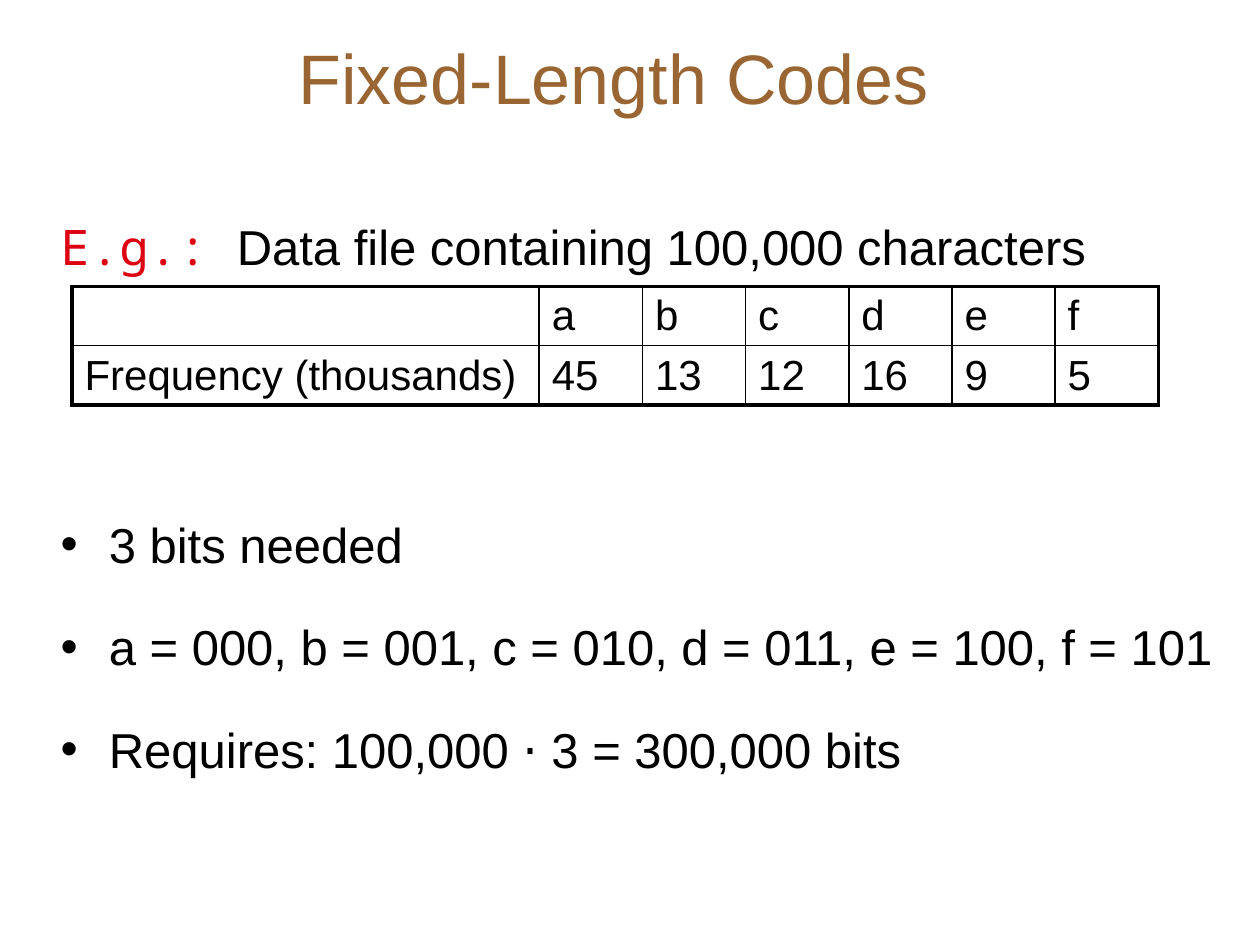
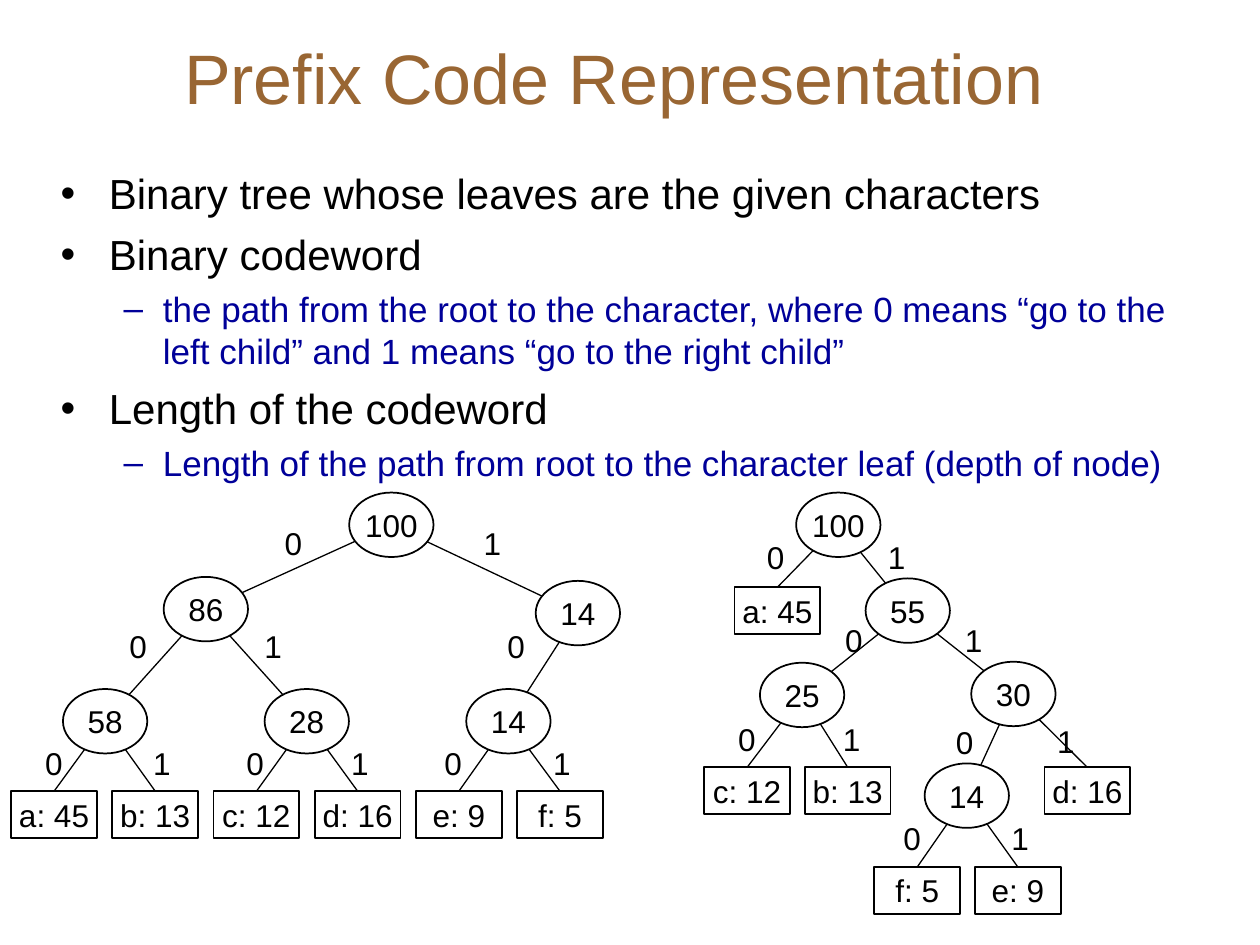
import math
from dataclasses import dataclass

import pptx
import pptx.dml.color
import pptx.enum.shapes
import pptx.enum.text
import pptx.oxml.ns
import pptx.util
from lxml import etree

Cm = pptx.util.Cm
Pt = pptx.util.Pt
MSO_SHAPE = pptx.enum.shapes.MSO_SHAPE
MSO_ANCHOR = pptx.enum.text.MSO_ANCHOR
PP_ALIGN = pptx.enum.text.PP_ALIGN
qn = pptx.oxml.ns.qn

FONT, MONO = "Arial", "Noto Sans Mono"
BLACK, WHITE, BROWN, RED, NAVY = "000000", "FFFFFF", "996633", "DD0111", "000099"
# Hanging indents per list level: (left margin, first line)
INDENTS = [(0.97, -0.97), (2.06, -0.79)]
OVAL_W, OVAL_H = 1.7, 1.3
LEAF_W, LEAF_H = 1.73, 0.94


@dataclass
class Node:
    """Tree node; x is its centre, bit_at the corner of the bit label above it."""
    text: str
    x: float
    top: float
    bit_at: tuple = None
    children: tuple = ()

    @property
    def centre_y(self):
        return self.top + OVAL_H / 2


def color(hex_code):
    return pptx.dml.color.RGBColor.from_string(hex_code)


def add_run(p, text, size, hex_code=BLACK, font=FONT):
    r = p.add_run()
    r.text = text
    r.font.name = font
    r.font.size = Pt(size)
    r.font.color.rgb = color(hex_code)


def place(sp, left, top, width, height):
    sp.left, sp.top, sp.width, sp.height = Cm(left), Cm(top), Cm(width), Cm(height)


def add_slide(prs, title):
    slide = prs.slides.add_slide(prs.slide_layouts[1])
    sp = slide.shapes.title
    place(sp, 0.94, 0.28, 22.86, 2.51)
    tf = sp.text_frame
    tf.vertical_anchor = MSO_ANCHOR.MIDDLE
    p = tf.paragraphs[0]
    p.alignment = PP_ALIGN.CENTER
    add_run(p, title, 40, BROWN)
    return slide


def fill_body(slide, box, margin_top, items, line_spacing=1.0):
    """Each item is (level, space before, bulleted, runs)."""
    sp = slide.placeholders[1]
    place(sp, *box)
    tf = sp.text_frame
    tf.auto_size = pptx.enum.text.MSO_AUTO_SIZE.NONE
    tf.margin_top = Pt(margin_top)
    for i, (level, space, bulleted, runs) in enumerate(items):
        p = tf.add_paragraph() if i else tf.paragraphs[0]
        p.level = level
        p.line_spacing = line_spacing
        p.space_before = Pt(space)
        pPr = p._p.get_or_add_pPr()
        margin, indent = INDENTS[level]
        pPr.set("marL", str(Cm(margin)))
        pPr.set("indent", str(Cm(indent)))
        if not bulleted:
            etree.SubElement(pPr, qn("a:buNone"))
        for run in runs:
            add_run(p, *run)


def set_borders(cell, widths):
    """Black borders, widths in points by side."""
    tcPr = cell._tc.get_or_add_tcPr()
    for i, (side, width) in enumerate(widths.items()):
        ln = etree.Element(qn("a:ln" + side), w=str(Pt(width)))
        fill = etree.SubElement(ln, qn("a:solidFill"))
        etree.SubElement(fill, qn("a:srgbClr"), val=BLACK)
        tcPr.insert(i, ln)


def add_frequency_table(slide, rows):
    n_rows, n_cols = len(rows), len(rows[0])
    frame = slide.shapes.add_table(n_rows, n_cols, Cm(1.45), Cm(5.77), Cm(21.9), Cm(2.38))
    table = frame.table
    table.first_row = table.horz_banding = False
    for c in range(n_cols):
        table.columns[c].width = Cm(2.08 if c else 9.42)
    for r, row in enumerate(rows):
        table.rows[r].height = Cm(1.19)
        for c, text in enumerate(row):
            cell = table.cell(r, c)
            cell.fill.background()
            cell.vertical_anchor = MSO_ANCHOR.MIDDLE
            outer = {"L": c == 0, "R": c == n_cols - 1, "T": r == 0, "B": r == n_rows - 1}
            set_borders(cell, {side: 2.25 if edge else 1 for side, edge in outer.items()})
            if text:
                add_run(cell.text_frame.paragraphs[0], text, 24)


def add_node(shapes, node):
    if node.children:
        kind, width, height = MSO_SHAPE.OVAL, OVAL_W, OVAL_H
    else:
        kind, width, height = MSO_SHAPE.RECTANGLE, LEAF_W, LEAF_H
    sp = shapes.add_shape(kind, Cm(node.x - width / 2), Cm(node.top), Cm(width), Cm(height))
    sp.shadow.inherit = False
    sp.fill.solid()
    sp.fill.fore_color.rgb = color(WHITE)
    sp.line.color.rgb = color(BLACK)
    sp.line.width = Pt(1)
    tf = sp.text_frame
    tf.word_wrap = False
    tf.vertical_anchor = MSO_ANCHOR.MIDDLE
    p = tf.paragraphs[0]
    p.alignment = PP_ALIGN.CENTER
    add_run(p, node.text, 18)


def add_edge(shapes, parent, child):
    """Line between oval outlines, or from an oval to the top of a leaf."""
    end_y = child.centre_y if child.children else child.top
    dx, dy = child.x - parent.x, end_y - parent.centre_y
    t = 1 / math.hypot(dx / (OVAL_W / 2), dy / (OVAL_H / 2))
    t_end = t if child.children else 0
    line = shapes.add_connector(
        pptx.enum.shapes.MSO_CONNECTOR.STRAIGHT,
        Cm(parent.x + t * dx), Cm(parent.centre_y + t * dy),
        Cm(child.x - t_end * dx), Cm(end_y - t_end * dy))
    line.line.color.rgb = color(BLACK)
    line.line.width = Pt(0.75)
    etree.SubElement(line._element.spPr, qn("a:effectLst"))


def add_bit(shapes, bit, left, top):
    sp = shapes.add_textbox(Cm(left), Cm(top), Cm(0.86), Cm(1.02))
    sp.text_frame.word_wrap = False
    add_run(sp.text_frame.paragraphs[0], str(bit), 18)


def add_tree(shapes, node):
    add_node(shapes, node)
    for bit, child in enumerate(node.children):
        add_edge(shapes, node, child)
        add_bit(shapes, bit, *child.bit_at)
        add_tree(shapes, child)


def fixed_length_tree():
    names = ["a: 45", "b: 13", "c: 12", "d: 16", "e: 9", "f: 5"]
    bit_lefts = [0.66, 2.84, 4.72, 6.83, 8.71, 10.9]
    leaves = [Node(name, 1.09 + 2.04 * i, 15.95, (left, 14.88))
              for i, (name, left) in enumerate(zip(names, bit_lefts))]
    n58, n28, n14 = [
        Node(text, 2.12 + 4.065 * i, 13.89, (left, 12.52), tuple(leaves[2 * i:2 * i + 2]))
        for i, (text, left) in enumerate([("58", 2.36), ("28", 5.08), ("14", 9.98)])]
    return Node("100", 7.89, 9.93, children=(
        Node("86", 4.15, 11.63, (5.49, 10.44), (n58, n28)),
        Node("14", 11.65, 11.71, (9.5, 10.44), (n14,))))


def variable_length_tree():
    n14 = Node("14", 19.49, 15.39, (19.02, 14.45), (
        Node("f: 5", 18.49, 17.48, (17.96, 16.38)),
        Node("e: 9", 20.52, 17.48, (20.14, 16.38))))
    n25 = Node("25", 16.17, 13.36, (16.79, 12.4), (
        Node("c: 12", 15.06, 15.47, (14.63, 14.4)),
        Node("b: 13", 17.09, 15.47, (16.74, 14.4))))
    n30 = Node("30", 20.43, 13.34, (19.2, 12.4), (
        n14, Node("d: 16", 21.92, 15.47, (21.06, 14.43))))
    return Node("100", 16.9, 9.93, children=(
        Node("a: 45", 15.67, 11.84, (15.21, 10.72)),
        Node("55", 18.3, 11.66, (17.65, 10.72), (n25, n30))))


def build_fixed_length_codes(prs):
    slide = add_slide(prs, "Fixed-Length Codes")
    fill_body(slide, (0.97, 3.38, 24.08, 15.01), 11, [
        (0, 0, False, [("E.g.: ", 28, RED, MONO),
                       ("Data file containing 100,000 characters", 28)]),
        (0, 120, True, [("3 bits needed", 28)]),
        (0, 8, True, [("a = 000, b = 001, c = 010, d = 011, e = 100, f = 101", 28)]),
        (0, 8, True, [("Requires: 100,000 ⋅ 3 = 300,000 bits", 28)]),
    ], line_spacing=1.5)
    add_frequency_table(slide, [
        ["", "a", "b", "c", "d", "e", "f"],
        ["Frequency (thousands)", "45", "13", "12", "16", "9", "5"]])


def build_prefix_code(prs):
    slide = add_slide(prs, "Prefix Code Representation")
    fill_body(slide, (0.97, 3.1, 22.86, 7.19), 8, [
        (0, 0, True, [("Binary tree whose leaves are the given characters", 24)]),
        (0, 6, True, [("Binary codeword", 24)]),
        (1, 5, True, [("the path from the root to the character, where 0 means “go to the "
                       "left child” and 1 means “go to the right child”", 20, NAVY)]),
        (0, 6, True, [("Length of the codeword", 24)]),
        (1, 5, True, [("Length of the path from root to the character leaf "
                       "(depth of node)", 20, NAVY)]),
    ])
    for root in (fixed_length_tree(), variable_length_tree()):
        add_tree(slide.shapes.add_group_shape().shapes, root)


def main():
    prs = pptx.Presentation()
    prs.slide_width, prs.slide_height = Cm(25.4), Cm(19.05)
    build_fixed_length_codes(prs)
    build_prefix_code(prs)
    prs.save("out.pptx")


if __name__ == "__main__":
    main()
